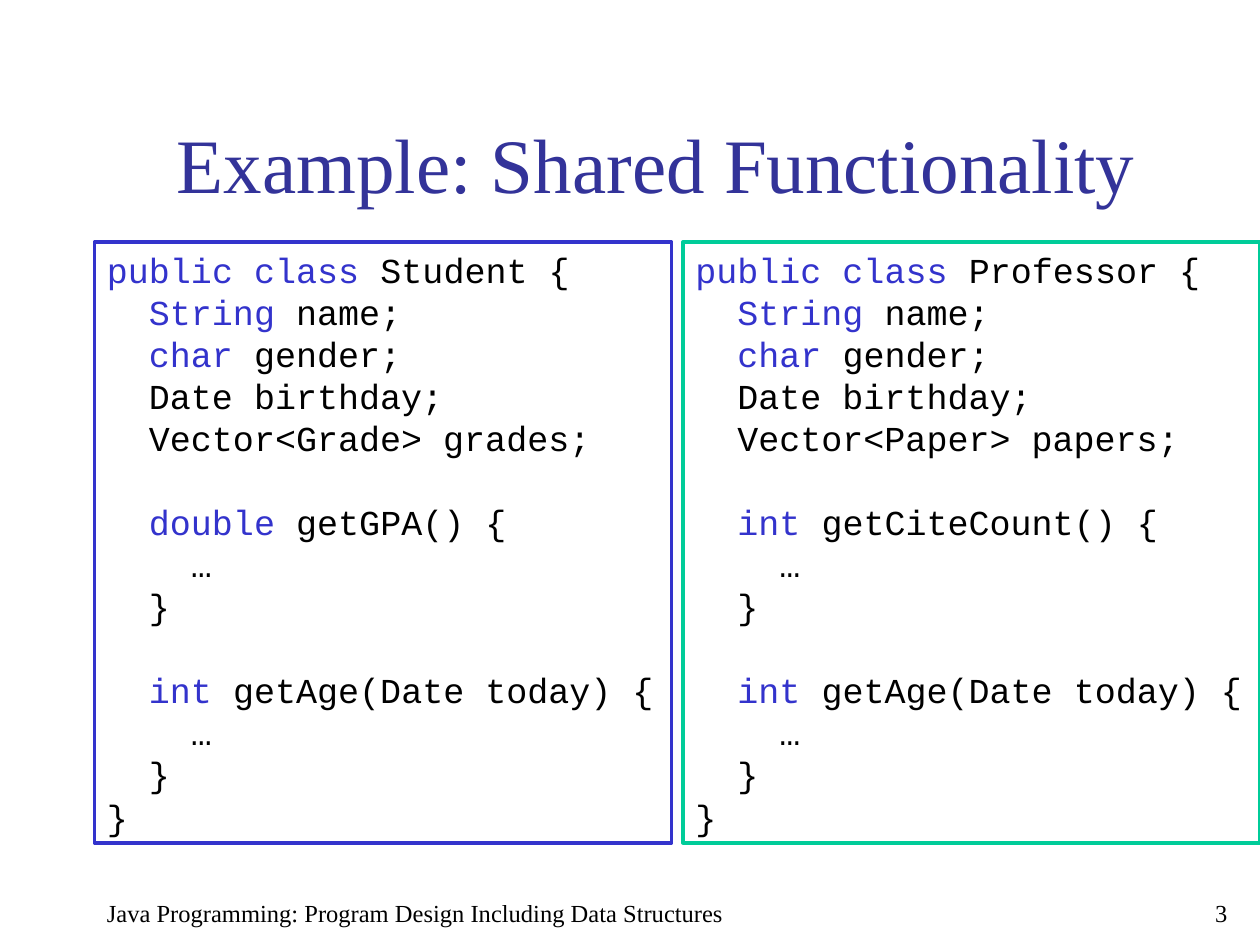
from dataclasses import dataclass

from pptx import Presentation
from pptx.dml.color import RGBColor
from pptx.enum import shapes, text
from pptx.util import Inches, Pt


@dataclass(frozen=True)
class Theme:
    title: RGBColor = RGBColor(0x33, 0x33, 0x99)
    keyword: RGBColor = RGBColor(0x33, 0x33, 0xCC)
    professor: RGBColor = RGBColor(0x00, 0xCC, 0x99)
    ink: RGBColor = RGBColor(0, 0, 0)
    paper: RGBColor = RGBColor(0xFF, 0xFF, 0xFF)
    serif: str = "Times New Roman"
    mono: str = "Courier New"
    title_size: Pt = Pt(44)
    code_size: Pt = Pt(20)
    code_line: Pt = Pt(24.05)
    code_indent: Pt = Pt(24)  # two characters of the code font
    footer_size: Pt = Pt(14)


THEME = Theme()


def style(run, face, size, color):
    run.font.name = face
    run.font.size = size
    run.font.color.rgb = color


def place_title(slide, box, wording):
    title = slide.shapes.title
    title.left, title.top, title.width, title.height = box
    title.text_frame.text = wording
    title.text_frame.vertical_anchor = text.MSO_ANCHOR.MIDDLE
    heading = title.text_frame.paragraphs[0]
    heading.alignment = text.PP_ALIGN.CENTER
    style(heading.runs[0], THEME.serif, THEME.title_size, THEME.title)


def add_footer(slide, box, wording, alignment):
    frame = slide.shapes.add_textbox(*box).text_frame
    frame.word_wrap = True
    frame.text = wording
    line = frame.paragraphs[0]
    line.alignment = alignment
    style(line.runs[0], THEME.serif, THEME.footer_size, THEME.ink)


def class_code(name, item, items, result, getter):
    """Lines of a class: indent level, keyword, rest, gap above."""
    def method(kind, signature):
        return [(1, kind, f" {signature} {{", True),
                (2, "", "…", False),
                (1, "", "}", False)]

    return [(0, "public class", f" {name} {{", False),
            (1, "String", " name;", False),
            (1, "char", " gender;", False),
            (1, "", "Date birthday;", False),
            (1, "", f"Vector<{item}> {items};", False),
            *method(result, f"{getter}()"),
            *method("int", "getAge(Date today)"),
            (0, "", "}", False)]


def add_code_panel(slide, box, border, code):
    panel = slide.shapes.add_shape(shapes.MSO_SHAPE.RECTANGLE, *box)
    panel.shadow.inherit = False
    panel.fill.solid()
    panel.fill.fore_color.rgb = THEME.paper
    panel.line.color.rgb = border
    panel.line.width = Pt(2)
    frame = panel.text_frame
    frame.word_wrap = True
    frame.vertical_anchor = text.MSO_ANCHOR.TOP

    for number, (level, keyword, rest, gap) in enumerate(code):
        line = frame.add_paragraph() if number else frame.paragraphs[0]
        line.alignment = text.PP_ALIGN.LEFT
        line.line_spacing = THEME.code_line
        line.space_before = THEME.code_line if gap else Pt(0)
        line._p.get_or_add_pPr().set("marL", str(level * THEME.code_indent))
        for wording, color in ((keyword, THEME.keyword), (rest, THEME.ink)):
            if wording:
                run = line.add_run()
                run.text = wording
                style(run, THEME.mono, THEME.code_size, color)


def main():
    deck = Presentation()
    deck.slide_width, deck.slide_height = Inches(10), Inches(7.5)
    slide = deck.slides.add_slide(deck.slide_layouts[5])
    left = Inches(0.75)

    place_title(slide, (left, Inches(0.67), Inches(8.92), Inches(1.25)),
                "Example: Shared Functionality")

    # Footer and slide number
    footer_top, footer_height = Inches(7.08), Inches(0.25)
    add_footer(slide, (left, footer_top, Inches(8.17), footer_height),
               "Java Programming: Program Design Including Data Structures",
               text.PP_ALIGN.LEFT)
    add_footer(slide, (Inches(8.92), footer_top, Inches(0.92), footer_height),
               "3", text.PP_ALIGN.RIGHT)

    # The two classes side by side
    panel_width, panel_gap = Inches(4.58), Inches(0.09)
    panels = [
        (THEME.keyword,
         class_code("Student", "Grade", "grades", "double", "getGPA")),
        (THEME.professor,
         class_code("Professor", "Paper", "papers", "int", "getCiteCount")),
    ]
    for column, (border, code) in enumerate(panels):
        panel_left = left + column * (panel_width + panel_gap)
        add_code_panel(slide, (panel_left, Inches(1.92), panel_width, Inches(4.77)),
                       border, code)

    deck.save("out.pptx")


if __name__ == "__main__":
    main()
